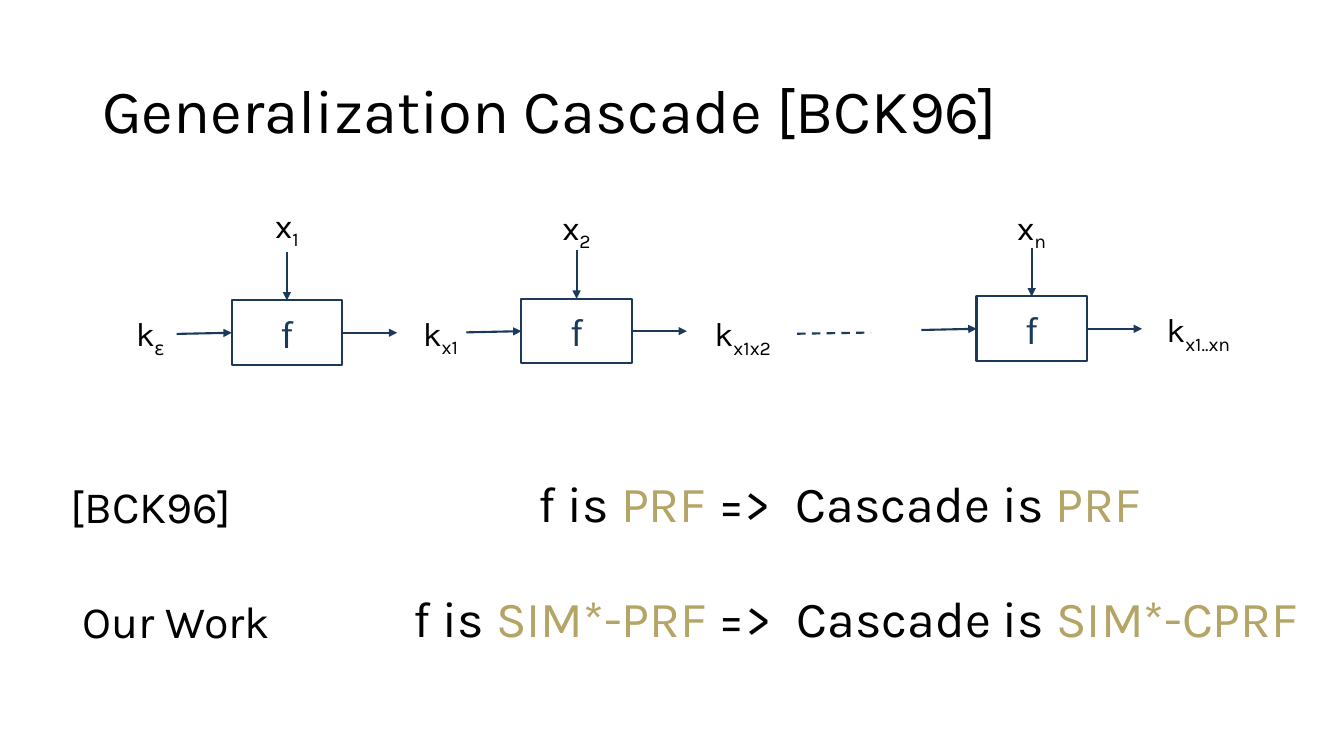
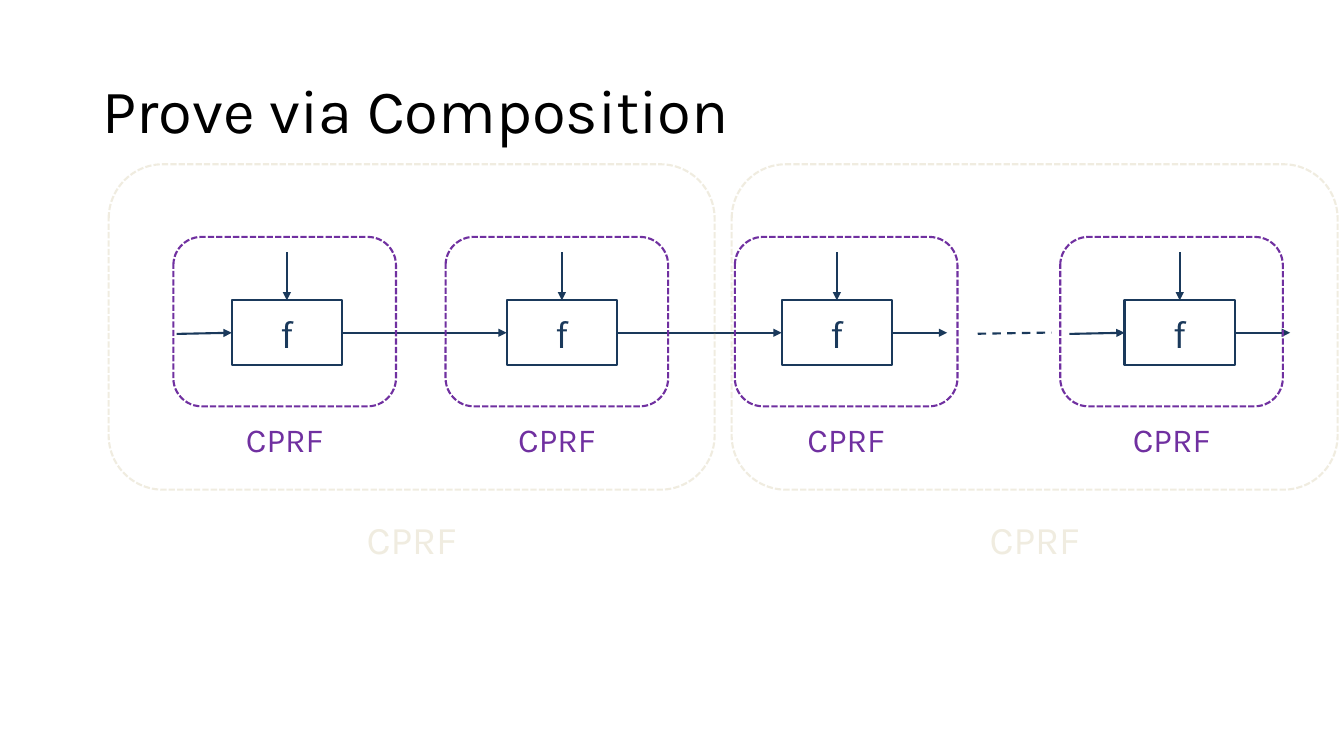
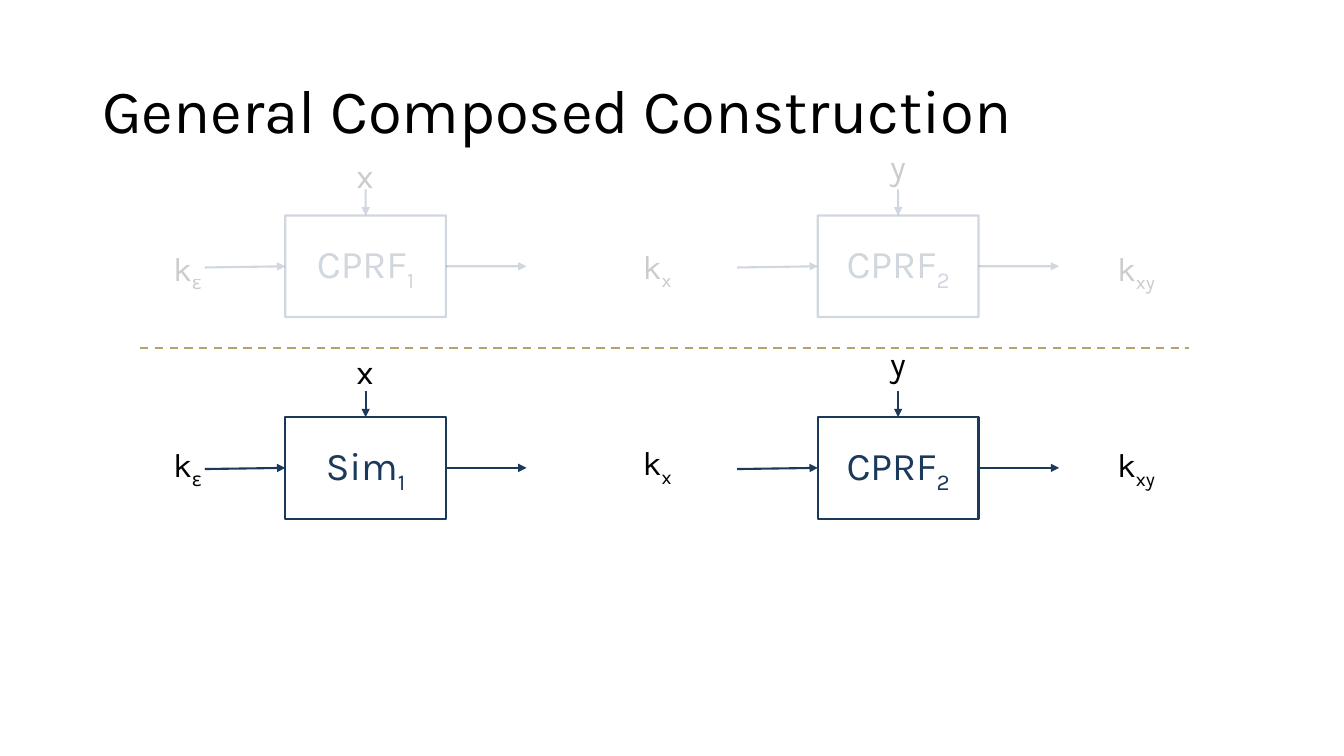
from pptx import Presentation
from pptx.dml.color import RGBColor
from pptx.enum.dml import MSO_LINE
from pptx.enum.shapes import MSO_CONNECTOR, MSO_SHAPE
from pptx.enum.text import MSO_ANCHOR, MSO_AUTO_SIZE, PP_ALIGN
from pptx.oxml.ns import qn
from pptx.util import Cm, Pt
from lxml.etree import SubElement

LEFT, MID = PP_ALIGN.LEFT, PP_ALIGN.CENTER
RECT, ROUND = MSO_SHAPE.RECTANGLE, MSO_SHAPE.ROUNDED_RECTANGLE
DASH, DOTS = MSO_LINE.DASH, MSO_LINE.SQUARE_DOT
COLORS = {"ink": "000000", "navy": "1A395B", "gold": "B4A465", "plum": "7030A0"}
FONT = "Karla"
FADE = 20000  # opacity in thousandths of a percent

# Content: lengths in cm, "_" starts a subscript
TITLES = ["Generalization Cascade [BCK96]", "Prove via Composition",
          "General Composed Construction"]

CASCADE = [  # left, top, input, input top
    (5.84, 7.57, "x_1", 5.03), (13.14, 7.53, "x_2", 5.08), (24.61, 7.47, "x_n", 5.08)]
KEYS = [  # centre, top, text
    (3.78, 7.77, "k_ε"), (11.1, 7.75, "k_x1"),
    (18.72, 7.77, "k_x1x2"), (30.2, 7.67, "k_x1..xn")]
SOURCES = [(1.52, 11.94, "[BCK96]", LEFT), (1.6, 14.83, "Our Work", MID)]
CLAIMS = [  # left, top, width, premise, result
    (13.16, 11.76, 16, "PRF", "PRF"), (9.57, 14.68, 24, "SIM*-PRF", "SIM*-CPRF")]

CHAIN = [  # left, has input arrow, length of output arrow
    (5.84, True, 4.15), (12.77, False, 4.15), (19.7, False, 1.39), (28.34, True, 1.39)]
FRAMES = [  # lefts, top, width, height, colour, text size, gap to label, faded
    ([2.74, 18.44], 4.14, 15.27, 8.2, "gold", 28, 0.51, True),
    ([4.37, 11.23, 18.52, 26.72], 5.97, 5.61, 4.27, "plum", 24, 0.2, False)]

STAGES = [7.19, 20.61]
ROWS = [  # box top, label shift, box texts, faded
    (5.43, 0, ["CPRF_1", "CPRF_2"], True), (10.51, 4.95, ["Sim_1", "CPRF_2"], False)]
NAMES = [(4.72, 6.12, "k_ε"), (9.2, 3.78, "x"), (16.56, 6.07, "k_x"),
         (22.63, 3.56, "y"), (28.63, 6.12, "k_xy")]

SMALL = {"w": 2.78, "h": 1.63, "arm": 1.39, "drop": 1.22}
LARGE = {"w": 4.05, "h": 2.56, "arm": 2.03, "drop": 0.66}


def fade(part):
    for node in list(part.element.iter(qn("a:srgbClr"))):
        SubElement(node, qn("a:alpha")).set("val", str(FADE))


def write(shape, runs, size, align=MID, **form):
    """Fill a shape with runs of (text, colour, attributes)."""
    frame = shape.text_frame
    for key, val in {"word_wrap": True, **form}.items():
        setattr(frame, key, val)
    para = frame.paragraphs[0]
    para.alignment = align
    for text, color, extra in runs:
        run = para.add_run()
        run.text = text
        for key, val in {"name": FONT, "size": Pt(size)}.items():
            setattr(run.font, key, val)
        run.font.color.rgb = RGBColor.from_string(COLORS[color])
        for key, val in extra.items():
            run._r.get_or_add_rPr().set(key, val)
    return para


def split(text, color):
    base, _, sub = text.partition("_")
    runs = [(base, color, {})]
    return runs + [(sub, color, {"baseline": "-25000"})] if sub else runs


def label(slide, x, y, w, h, runs, size, align=MID):
    box = slide.shapes.add_textbox(Cm(x), Cm(y), Cm(w), Cm(h))
    write(box, runs, size, align, auto_size=MSO_AUTO_SIZE.SHAPE_TO_FIT_TEXT)
    return box


def tag(slide, mid, y, text, color="ink", size=24, w=2.69):
    """Label centred on mid."""
    return label(slide, mid - w / 2, y, w, 1.27, split(text, color), size)


def stroke(line, color, dash=None):
    line.color.rgb = RGBColor.from_string(COLORS[color])
    line.width = Pt(1.5)
    if dash:
        line.dash_style = dash


def link(shapes, x1, y1, x2, y2, color="navy", dash=None):
    """Dashed line, or an arrow when no dash is given."""
    line = shapes.add_connector(MSO_CONNECTOR.STRAIGHT, Cm(x1), Cm(y1), Cm(x2), Cm(y2))
    stroke(line.line, color, dash)
    if not dash:
        SubElement(line.line._get_or_add_ln(), qn("a:tailEnd")).set("type", "triangle")
    SubElement(line.element.spPr, qn("a:effectLst"))


def outline(shapes, kind, x, y, w, h, color, dash=None):
    shape = shapes.add_shape(kind, Cm(x), Cm(y), Cm(w), Cm(h))
    shape.shadow.inherit = False
    shape.fill.background()
    stroke(shape.line, color, dash)
    return shape


def cell(slide, x, y, dims, text="f", entry=True, out=None):
    """Box with arrows in from left and top and out to the right."""
    w, h, arm, drop = dims["w"], dims["h"], dims["arm"], dims["drop"]
    group = slide.shapes.add_group_shape()
    parts, mid = group.shapes, y + h / 2
    box = outline(parts, RECT, x, y, w, h, "navy")
    write(box, split(text, "navy"), 28, vertical_anchor=MSO_ANCHOR.MIDDLE)
    if entry:
        link(parts, x - arm, mid + 0.03, x, mid)
    link(parts, x + w / 2, y - drop, x + w / 2, y)
    link(parts, x + w, mid, x + w + (out or arm), mid)
    return group


def gap(slide, x):
    link(slide.shapes, x, 8.41, x + 1.86, 8.38, dash=DASH)


def start(deck, title):
    slide = deck.slides.add_slide(deck.slide_layouts[6])
    box = slide.shapes.add_textbox(Cm(2.33), Cm(1.01), Cm(29.21), Cm(3.68))
    para = write(box, [(title, "ink", {})], 44, LEFT, vertical_anchor=MSO_ANCHOR.MIDDLE)
    para.line_spacing = 0.9
    return slide


def cascade(slide):
    for x, y, name, top in CASCADE:
        cell(slide, x, y, SMALL)
        tag(slide, x + SMALL["w"] / 2, top, name, w=1.9)
    for key in KEYS:
        tag(slide, *key)
    gap(slide, 20.09)
    for x, y, text, align in SOURCES:
        label(slide, x, y, 5.69, 1.63, [(text, "ink", {})], 32, align)
    for x, y, w, given, result in CLAIMS:
        runs = [("f is ", "ink", {}), (given, "gold", {}), (" =>", "ink", {}),
                (" ", "ink", {"spc": "900"}),
                ("Cascade is ", "ink", {}), (result, "gold", {})]
        label(slide, x, y, w, 1.8, runs, 36)


def compose(slide):
    for x, entry, out in CHAIN:
        cell(slide, x, 7.57, SMALL, entry=entry, out=out)
    gap(slide, 24.64)
    for lefts, y, w, h, color, size, space, faded in FRAMES:
        for x in lefts:
            parts = [outline(slide.shapes, ROUND, x, y, w, h, color, DOTS),
                     tag(slide, x + w / 2, y + h + space, "CPRF", color, size, 5.23)]
            if faded:
                for part in parts:
                    fade(part)


def general(slide):
    for y, shift, texts, faded in ROWS:
        parts = [cell(slide, x, y, LARGE, text) for x, text in zip(STAGES, texts)]
        parts += [tag(slide, mid, top + shift, text) for mid, top, text in NAMES]
        if faded:
            for part in parts:
                fade(part)
    link(slide.shapes, 3.53, 8.76, 29.97, 8.76, "gold", DASH)


def main():
    deck = Presentation()
    deck.slide_width, deck.slide_height = Cm(33.87), Cm(19.05)
    for title, draw in zip(TITLES, [cascade, compose, general]):
        draw(start(deck, title))
    deck.save("out.pptx")


if __name__ == "__main__":
    main()
